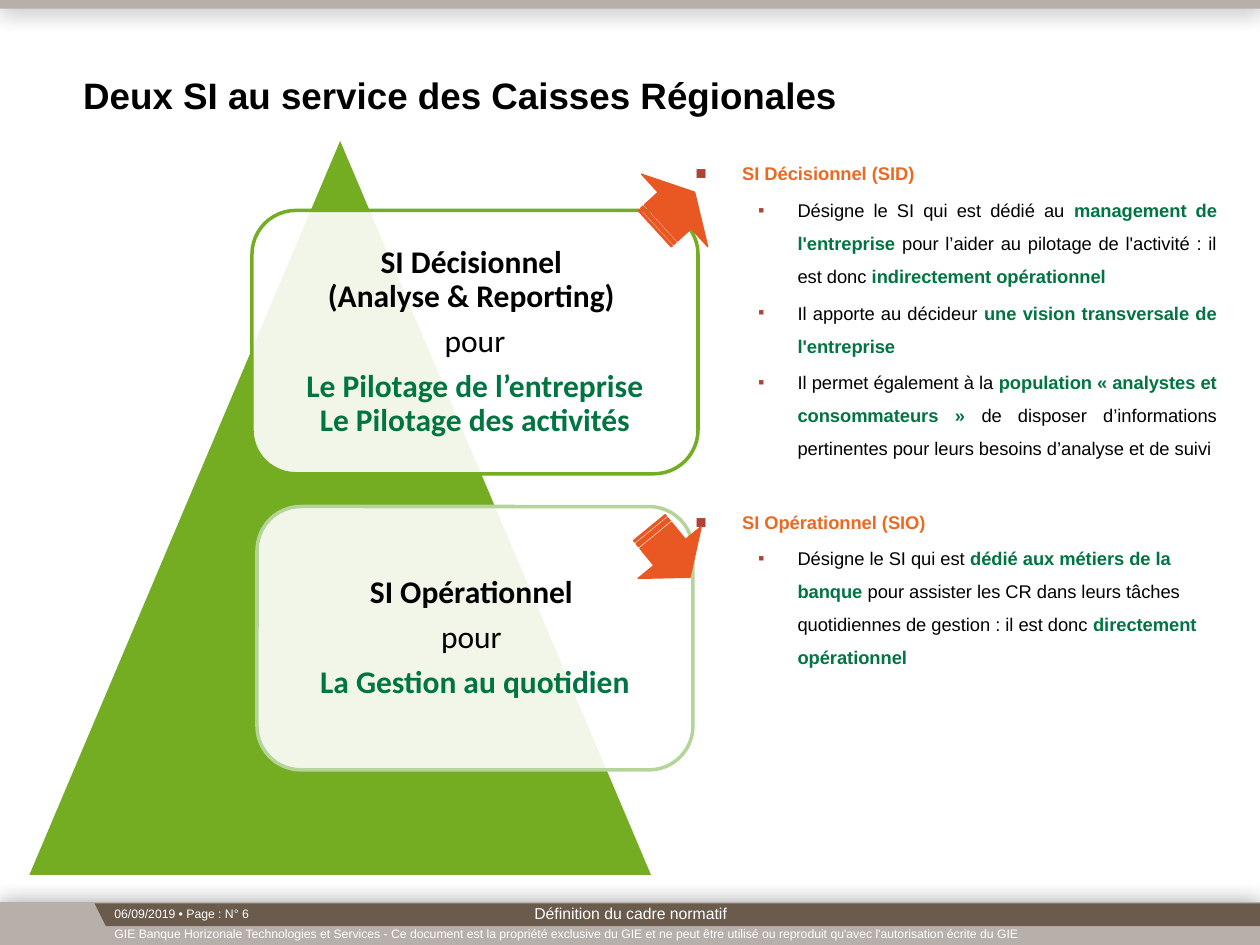
"""Build the slide comparing the decisional and operational information systems."""
from dataclasses import dataclass

import pptx
import pptx.dml.color
import pptx.enum.shapes
import pptx.enum.text
import pptx.oxml
import pptx.oxml.ns
import pptx.util

Inches = pptx.util.Inches
Pt = pptx.util.Pt
Align = pptx.enum.text.PP_ALIGN
Anchor = pptx.enum.text.MSO_ANCHOR
Shape = pptx.enum.shapes.MSO_SHAPE


@dataclass(frozen=True)
class Theme:
    black: str = "000000"
    white: str = "FFFFFF"
    green: str = "74AC22"
    pale_green: str = "B4D49A"
    strong_green: str = "007541"
    heading: str = "ED6922"
    arrow: str = "E95822"
    bullet: str = "AF4135"
    bar: str = "B7AFA9"
    band: str = "6A5B4C"
    font: str = "Arial"
    card_font: str = "Calibri"
    title_size: float = 21
    card_size: float = 18
    body_size: float = 10.5
    footer_size: float = 9
    small_size: float = 7


THEME = Theme()

DETAILS = [
    ("SI Décisionnel (SID)", [
        (Align.JUSTIFY, ["Désigne le SI qui est dédié au ", "management de l'entreprise",
                         " pour l’aider au pilotage de l'activité : il est donc ",
                         "indirectement opérationnel"]),
        (Align.JUSTIFY, ["Il apporte au décideur ", "une vision transversale de l'entreprise"]),
        (Align.JUSTIFY, ["Il permet également à la ",
                         "population « analystes et consommateurs » ",
                         "de disposer d’informations pertinentes pour leurs besoins "
                         "d’analyse et de suivi"]),
    ]),
    ("SI Opérationnel (SIO)", [
        (Align.LEFT, ["Désigne le SI qui est ", "dédié aux métiers de la banque",
                      " pour assister les CR dans leurs tâches quotidiennes de gestion : "
                      "il est donc ", "directement opérationnel"]),
    ]),
]

CARDS = [
    ((2, 1.67, 3.54, 2.09), THEME.green,
     ("SI Décisionnel \n(Analyse & Reporting) ", "pour",
      "Le Pilotage de l’entreprise\nLe Pilotage des activités")),
    ((2.04, 4.02, 3.46, 2.09), THEME.pale_green,
     ("SI Opérationnel ", "pour ", "La Gestion au quotidien")),
]

ARROWS = [((5.14, 1.28, 0.43, 0.78), 317.6), ((5.06, 4.06, 0.51, 0.65), 50.6)]


def rgb(color):
    """Turn a hex string into a colour."""
    return pptx.dml.color.RGBColor.from_string(color)


def add_xml(parent, markup):
    """Append a drawing element written as short markup."""
    head, tail = markup.split(" ", 1)
    namespace = pptx.oxml.ns.nsdecls("a")
    parent.append(pptx.oxml.parse_xml(f"{head} {namespace} {tail}"))


def place(item, bounds):
    """Move and size an item in inches."""
    item.left, item.top, item.width, item.height = map(Inches, bounds)


def set_frame(frame, anchor=Anchor.TOP, inset=(0, 0)):
    """Fix wrapping, anchoring and insets of a text frame."""
    frame.word_wrap = True
    frame.auto_size = pptx.enum.text.MSO_AUTO_SIZE.NONE
    frame.vertical_anchor = anchor
    frame.margin_left = frame.margin_right = Inches(inset[0])
    frame.margin_top = frame.margin_bottom = Inches(inset[1])


def next_para(frame):
    """Return the empty first paragraph or a new one."""
    first = frame.paragraphs[0]
    return frame.add_paragraph() if first.runs else first


def set_para(para, align=Align.LEFT, spacing=1.0, before=0, after=0):
    """Set alignment and spacing of a paragraph."""
    para.alignment = align
    para.line_spacing = spacing
    para.space_before, para.space_after = Pt(before), Pt(after)


def write(para, text, size, color=THEME.black, bold=False, font=THEME.font):
    """Add formatted text, with line breaks at newlines."""
    for number, line in enumerate(text.split("\n")):
        if number:
            para.add_line_break()
        span = para.add_run()
        span.text = line
        span.font.name, span.font.size, span.font.bold = font, Pt(size), bold
        span.font.color.rgb = rgb(color)


def set_bullet(para, margin, hanging, percent):
    """Give a paragraph a square bullet and a hanging indent."""
    properties = para._p.get_or_add_pPr()
    properties.set("marL", str(Inches(margin)))
    properties.set("indent", str(-Inches(hanging)))
    add_xml(properties, f'<a:buClr ><a:srgbClr val="{THEME.bullet}"/></a:buClr>')
    add_xml(properties, f'<a:buSzPct val="{percent * 1000}"/>')
    add_xml(properties, f'<a:buFont typeface="{THEME.font}"/>')
    add_xml(properties, '<a:buChar char="■"/>')


def paint(shape, fill, line=None, width=0.75):
    """Give a shape a plain fill and an optional line, without shadow."""
    shape.shadow.inherit = False
    shape.fill.solid()
    shape.fill.fore_color.rgb = rgb(fill)
    if line:
        shape.line.color.rgb = rgb(line)
        shape.line.width = Pt(width)
    else:
        shape.line.fill.background()


def add_shape(page, kind, bounds, fill, **line):
    """Add a painted preset shape."""
    shape = page.shapes.add_shape(kind, *map(Inches, bounds))
    paint(shape, fill, **line)
    return shape


def add_bar(page, top, height):
    """Add a full-width bar with a soft shadow."""
    bar = add_shape(page, Shape.RECTANGLE, (0, top, 10, height), THEME.bar)
    effects = bar._element.spPr.find(pptx.oxml.ns.qn("a:effectLst"))
    add_xml(effects, '<a:outerShdw blurRad="165100" dist="0" dir="0" algn="ctr">'
                     '<a:srgbClr val="000000"><a:alpha val="40000"/></a:srgbClr></a:outerShdw>')


def add_band(page):
    """Add the dark footer band with its slanted left end."""
    builder = page.shapes.build_freeform(Inches(0.75), Inches(7.17), scale=1.0)
    corners = [(0.84, 7.35), (10, 7.35), (10, 7.17)]
    builder.add_line_segments([(Inches(x), Inches(y)) for x, y in corners], close=True)
    paint(builder.convert_to_shape(), THEME.band)


def add_label(page, text, bounds, size, align=Align.LEFT, anchor=Anchor.MIDDLE):
    """Add one white footer line."""
    box = page.shapes.add_textbox(*map(Inches, bounds))
    set_frame(box.text_frame, anchor, (0.1, 0.05))
    para = next_para(box.text_frame)
    set_para(para, align)
    write(para, text, size, THEME.white)


def add_card(page, bounds, outline, lines):
    """Add a translucent rounded card with name, link word and purpose."""
    card = add_shape(page, Shape.ROUNDED_RECTANGLE, bounds, THEME.white, line=outline, width=2)
    color = card._element.spPr.find(".//" + pptx.oxml.ns.qn("a:srgbClr"))
    add_xml(color, '<a:alpha val="90000"/>')
    set_frame(card.text_frame, Anchor.MIDDLE, (0.07, 0.07))
    styles = [(THEME.black, True), (THEME.black, False), (THEME.strong_green, True)]
    for text, (ink, bold) in zip(lines, styles):
        para = next_para(card.text_frame)
        set_para(para, Align.CENTER, 0.9, after=6.3)
        write(para, text, THEME.card_size, ink, bold, THEME.card_font)


def fill_title(title):
    """Write the slide title."""
    place(title, (0.66, 0.08, 6.95, 0.85))
    set_frame(title.text_frame, Anchor.BOTTOM)
    para = next_para(title.text_frame)
    set_para(para)
    write(para, "Deux SI au service des Caisses Régionales", THEME.title_size, bold=True)


def fill_details(body):
    """Write both systems as headings with bulleted details."""
    place(body, (5.52, 1.2, 4.14, 5.71))
    set_frame(body.text_frame)
    for number, (heading, points) in enumerate(DETAILS):
        para = next_para(body.text_frame)
        set_para(para, Align.JUSTIFY, 1.5, before=23 if number else 2.1)
        set_bullet(para, 0.37, 0.37, 100)
        write(para, heading, THEME.body_size, THEME.heading, True)
        for align, parts in points:
            para = next_para(body.text_frame)
            para.level = 1
            set_para(para, align, 1.5, before=2.1)
            set_bullet(para, 0.81, 0.31, 50)
            for index, text in enumerate(parts):
                strong = index % 2 == 1
                ink = THEME.strong_green if strong else THEME.black
                write(para, text, THEME.body_size, ink, strong)


def main():
    """Build and save the deck."""
    deck = pptx.Presentation()
    deck.slide_width, deck.slide_height = Inches(10), Inches(7.5)
    page = deck.slides.add_slide(deck.slide_layouts[1])
    add_bar(page, 7.16, 0.35)
    add_bar(page, 0, 0.07)
    add_band(page)
    add_label(page, "GIE Banque Horizonale Technologies et Services - Ce document est la propriété "
              "exclusive du GIE et ne peut être utilisé ou reproduit qu'avec l'autorisation "
              "écrite du GIE", (0.81, 7.31, 9.19, 0.2), THEME.small_size)
    add_label(page, "06/09/2019 • Page : N° 6", (0.81, 7.14, 8.94, 0.21), THEME.small_size,
              anchor=Anchor.TOP)
    fill_details(page.placeholders[1])
    fill_title(page.shapes.title)
    add_shape(page, Shape.ISOSCELES_TRIANGLE, (0.21, 1.08, 4.98, 5.88), THEME.green,
              line=THEME.white, width=2)
    for card in CARDS:
        add_card(page, *card)
    for bounds, angle in ARROWS:
        arrow = add_shape(page, Shape.STRIPED_RIGHT_ARROW, bounds, THEME.arrow, line=THEME.arrow)
        arrow.rotation = angle
    add_label(page, "Définition du cadre normatif", (3.42, 7.14, 3.17, 0.21),
              THEME.footer_size, Align.CENTER)
    deck.save("out.pptx")


if __name__ == "__main__":
    main()
